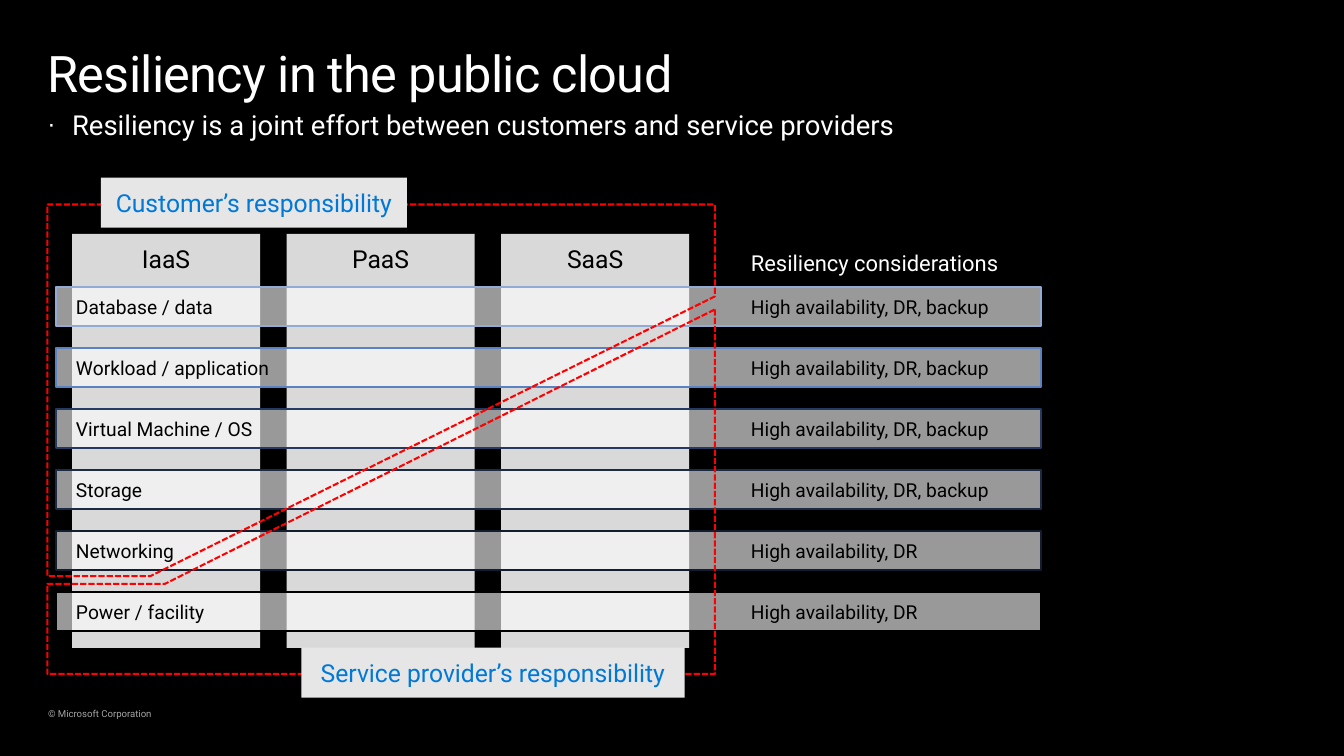
"""Build the slide on shared responsibility for resiliency in the public cloud."""
import dataclasses

import lxml.etree
import pptx
import pptx.dml.color
import pptx.enum.dml
import pptx.enum.shapes
import pptx.enum.text
import pptx.oxml.ns
import pptx.util

Pt = pptx.util.Pt
Align = pptx.enum.text.PP_ALIGN
Anchor = pptx.enum.text.MSO_ANCHOR
qn = pptx.oxml.ns.qn


@dataclasses.dataclass(frozen=True)
class Theme:
    font: str = "Roboto"
    black: str = "000000"
    white: str = "FFFFFF"
    muted: str = "A6A6A6"
    column: str = "D9D9D9"
    tag: str = "E6E6E6"
    blue: str = "0078D7"
    red: str = "FF0000"
    layers: tuple = ("91ABD5", "5A81C0", "243A5E", "1B2B46", "121D2F", "000000")
    title: float = 36.7
    lead: float = 20
    head: float = 18
    label: float = 16
    text: float = 14
    note: float = 7
    edge: float = 1.5


class Deck:
    def __init__(self, theme, width, height):
        self.theme = theme
        self.prs = pptx.Presentation()
        self.prs.slide_width, self.prs.slide_height = Pt(width), Pt(height)
        self.slide = self.prs.slides.add_slide(self.prs.slide_layouts[1])
        fill = self.slide.background.fill
        fill.solid()
        fill.fore_color.rgb = self.color(theme.black)

    def color(self, value):
        return pptx.dml.color.RGBColor.from_string(value)

    def letter(self, shape, text, size, color, inset=(0, 0, 0, 0),
               align=Align.LEFT, anchor=Anchor.TOP):
        frame = shape.text_frame
        frame.word_wrap = True
        frame.auto_size = pptx.enum.text.MSO_AUTO_SIZE.NONE
        frame.vertical_anchor = anchor
        (frame.margin_left, frame.margin_top,
         frame.margin_right, frame.margin_bottom) = map(Pt, inset)
        para = frame.paragraphs[0]
        para.alignment = align
        para.space_before = Pt(0)
        run = para.add_run()
        run.text = text
        run.font.name = self.theme.font
        run.font.size = Pt(size)
        run.font.color.rgb = self.color(color)
        return run

    def holder(self, index, box, text, size, inset=(0, 0, 0, 0)):
        shape = self.slide.placeholders[index]
        shape.left, shape.top, shape.width, shape.height = map(Pt, box)
        run = self.letter(shape, text, size, self.theme.white, inset)
        return shape.text_frame.paragraphs[0], run

    def title(self, box, text):
        para, run = self.holder(0, box, text, self.theme.title, (0, 13, 0, 0))
        run.font._element.set("spc", "-50")

    def bullet(self, box, text):
        para, run = self.holder(1, box, text, self.theme.lead)
        props = para._p.get_or_add_pPr()
        props.set("marL", str(Pt(18)))
        props.set("indent", str(-Pt(18)))
        lxml.etree.SubElement(props, qn("a:buSzPct")).set("val", "90000")
        lxml.etree.SubElement(props, qn("a:buChar")).set("char", "·")

    def label(self, box, text, size, color, **style):
        shape = self.slide.shapes.add_textbox(*map(Pt, box))
        self.letter(shape, text, size, color, **style)

    def block(self, box, fill, text, size, color, edge=None, alpha=None, **style):
        kind = pptx.enum.shapes.MSO_SHAPE.RECTANGLE
        shape = self.slide.shapes.add_shape(kind, *map(Pt, box))
        shape.shadow.inherit = False
        shape.fill.solid()
        shape.fill.fore_color.rgb = self.color(fill)
        if alpha:
            tint = shape._element.spPr.find(qn("a:solidFill"))[0]
            lxml.etree.SubElement(tint, qn("a:alpha")).set("val", str(alpha * 1000))
        if edge:
            shape.line.color.rgb = self.color(edge)
            shape.line.width = Pt(self.theme.edge)
        else:
            shape.line.fill.background()
        self.letter(shape, text, size, color, **style)

    def border(self, points):
        first, *rest = [(Pt(x), Pt(y)) for x, y in points]
        pen = self.slide.shapes.build_freeform(*first)
        pen.add_line_segments(rest, close=True)
        shape = pen.convert_to_shape()
        shape.shadow.inherit = False
        shape.fill.background()
        shape.line.color.rgb = self.color(self.theme.red)
        shape.line.width = Pt(self.theme.edge)
        shape.line.dash_style = pptx.enum.dml.MSO_LINE.SQUARE_DOT

    def zone(self, points, box, text, anchor):
        look = self.theme
        self.border(points)
        self.block(box, look.tag, text, look.head, look.blue,
                   inset=(7.2,) * 4, align=Align.CENTER, anchor=anchor)


def main():
    look = Theme()
    deck = Deck(look, 979.2, 550.8)
    deck.title((34.5, 18, 911, 61), "Resiliency in the public cloud")
    deck.bullet((34.5, 78.5, 911, 25),
                "Resiliency is a joint effort between customers and service providers")
    deck.label((35, 516, 90, 9), "© Microsoft Corporation", look.note, look.muted)

    for index, name in enumerate(("IaaS", "PaaS", "SaaS")):
        deck.block((52.5 + 156.3 * index, 170.5, 137, 301.5), look.column, name,
                   look.head, look.black, inset=(7.2,) * 4, align=Align.CENTER)

    deck.label((540, 181.5, 223, 19.5), "Resiliency considerations", look.label,
               look.white, inset=(7.2, 0, 7.2, 0), anchor=Anchor.MIDDLE)

    full, part = "High availability, DR, backup", "High availability, DR"
    layers = (
        ("Database / data", full),
        ("Workload / application", full),
        ("Virtual Machine / OS", full),
        ("Storage", full),
        ("Networking", part),
        ("Power / facility", part),
    )
    tops = [209.4 + 44.4 * index for index in range(len(layers))]
    for top, (name, need), edge in zip(tops, layers, look.layers):
        deck.block((41, top, 717.5, 28.5), look.white, name, look.text, look.black,
                   edge=edge, alpha=60, inset=(14.4, 0, 7.2, 0),
                   anchor=Anchor.MIDDLE)

    left, right = 34.5, 520.8
    deck.zone([(left, 149), (right, 149), (right, 216), (109.5, 419.8), (left, 419.8)],
              (73.5, 129.5, 223, 36.3), "Customer’s responsibility", Anchor.TOP)
    deck.zone([(right, 225.5), (right, 491), (left, 491), (left, 425.5), (120, 425.5)],
              (219.5, 471.8, 279.3, 36.5), "Service provider’s responsibility",
              Anchor.BOTTOM)

    for top, (name, need) in zip(tops, layers):
        deck.label((540, top + 2.2, 194, 24.3), need, look.text, look.black,
                   inset=(7.2, 3.6, 7.2, 3.6))

    deck.prs.save("out.pptx")


if __name__ == "__main__":
    main()
